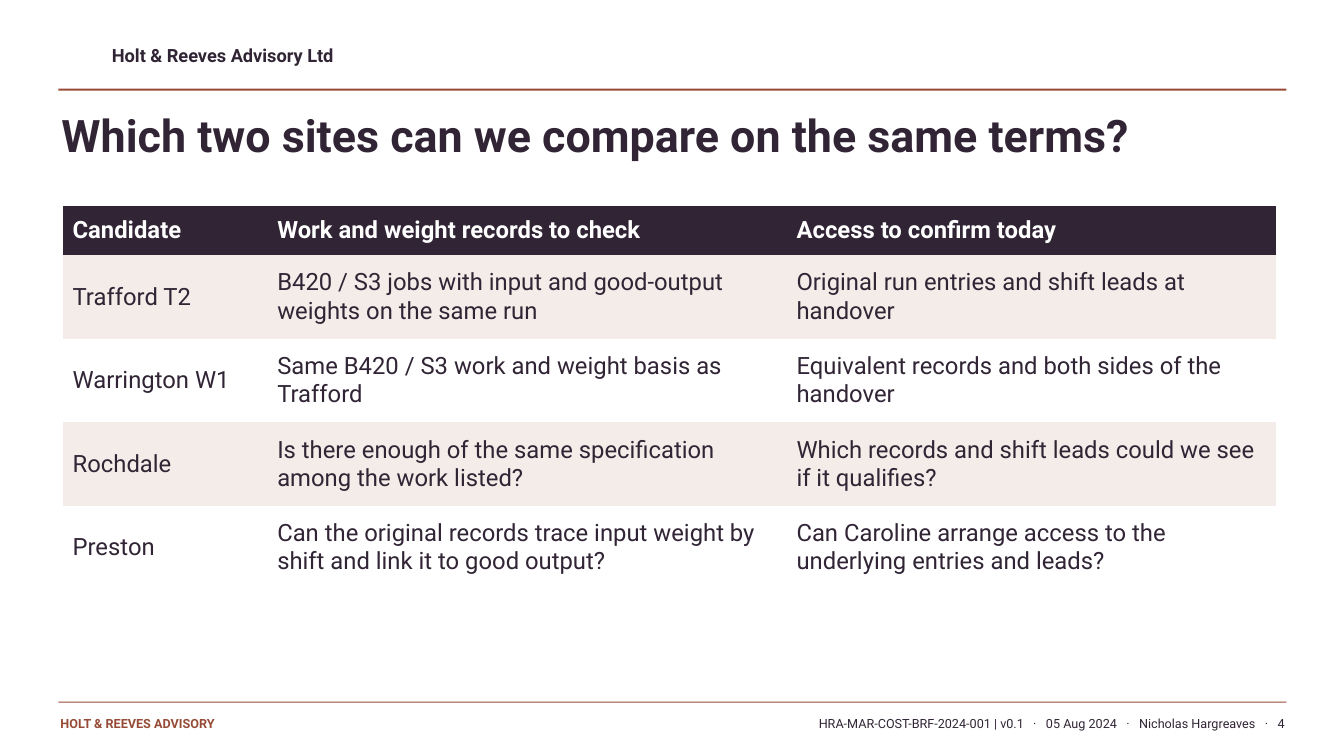
from dataclasses import dataclass

import pptx
import pptx.dml.color
import pptx.enum.shapes
import pptx.enum.text
import pptx.oxml.ns
import pptx.util

Inches = pptx.util.Inches
RGBColor = pptx.dml.color.RGBColor
Align = pptx.enum.text.PP_ALIGN

PLUM = RGBColor(0x30, 0x24, 0x35)
RUST = RGBColor(0x96, 0x4B, 0x37)
BLUSH = RGBColor(0xF4, 0xEC, 0xE8)
WHITE = RGBColor(0xFF, 0xFF, 0xFF)
FONT = "Roboto"
SEPARATOR = " · "
SEPARATOR_TRACKING = "450"
PLAIN_TABLE_STYLE = "{2D5ABB26-0587-4C30-8999-92F81FD0307C}"


@dataclass(frozen=True)
class Box:
    left: float
    top: float
    width: float
    height: float

    def inches(self) -> list[int]:
        return [Inches(v) for v in (self.left, self.top, self.width, self.height)]


@dataclass(frozen=True)
class Caption:
    text: str
    box: Box
    size: float
    color: RGBColor = PLUM
    bold: bool = True
    align: int = Align.LEFT


@dataclass(frozen=True)
class Site:
    candidate: str
    records: str
    access: str


RULES = [Box(0.58, 0.88, 12.18, 0.02), Box(0.58, 6.96, 12.18, 0.01)]

CAPTIONS = [
    Caption("Holt & Reeves Advisory Ltd", Box(1.11, 0.44, 6, 0.27), 13),
    Caption("HOLT & REEVES ADVISORY", Box(0.6, 7.1, 3.4, 0.25), 9, RUST),
    Caption("Which two sites can we compare on the same terms?",
            Box(0.61, 1.07, 12, 0.78), 32),
    Caption("HRA-MAR-COST-BRF-2024-001 | v0.1 · 05 Aug 2024 · Nicholas Hargreaves · 4",
            Box(4.12, 7.1, 8.62, 0.25), 9, bold=False, align=Align.RIGHT),
]

HEADINGS = Site("Candidate", "Work and weight records to check", "Access to confirm today")
SITES = [
    Site("Trafford T2",
         "B420 / S3 jobs with input and good-output weights on the same run",
         "Original run entries and shift leads at handover"),
    Site("Warrington W1",
         "Same B420 / S3 work and weight basis as Trafford",
         "Equivalent records and both sides of the handover"),
    Site("Rochdale",
         "Is there enough of the same specification among the work listed?",
         "Which records and shift leads could we see if it qualifies?"),
    Site("Preston",
         "Can the original records trace input weight by shift and link it to good output?",
         "Can Caroline arrange access to the underlying entries and leads?"),
]
COLUMN_WIDTHS = [2.03, 5.15, 4.86]
HEADING_HEIGHT = 0.49
SITE_HEIGHT = 0.83


def write_text(frame, text: str, *, size: float, color: RGBColor = PLUM,
               bold: bool = False, align: int = Align.LEFT) -> None:
    paragraph = frame.paragraphs[0]
    paragraph.alignment = align
    frame.word_wrap = True
    for index, part in enumerate(text.split(SEPARATOR)):
        pieces = [part] if index == 0 else [" ", "·", " ", part]
        for piece in pieces:
            run = paragraph.add_run()
            run.text = piece
            run.font.name = FONT
            run.font.size = pptx.util.Pt(size)
            run.font.bold = bold
            run.font.color.rgb = color
            if piece == " ":
                run._r.get_or_add_rPr().set("spc", SEPARATOR_TRACKING)


def draw_rule(slide, box: Box) -> None:
    rule = slide.shapes.add_shape(
        pptx.enum.shapes.MSO_SHAPE.RECTANGLE, *box.inches())
    rule.shadow.inherit = False
    rule.fill.solid()
    rule.fill.fore_color.rgb = RUST
    rule.line.fill.background()


def draw_caption(slide, caption: Caption) -> None:
    frame = slide.shapes.add_textbox(*caption.box.inches()).text_frame
    frame.margin_left = frame.margin_right = 0
    frame.margin_top = frame.margin_bottom = 0
    write_text(frame, caption.text, size=caption.size, color=caption.color,
               bold=caption.bold, align=caption.align)


def draw_sites(slide, headings: Site, sites: list[Site]) -> None:
    rows = [headings, *sites]
    heights = [HEADING_HEIGHT] + [SITE_HEIGHT] * len(sites)
    box = Box(0.62, 2.04, sum(COLUMN_WIDTHS), sum(heights))
    comparison = slide.shapes.add_table(
        len(rows), len(COLUMN_WIDTHS), *box.inches()).table
    style_tag = pptx.oxml.ns.qn("a:tableStyleId")
    comparison._tbl.tblPr.find(style_tag).text = PLAIN_TABLE_STYLE
    for column, width in zip(comparison.columns, COLUMN_WIDTHS):
        column.width = Inches(width)
    for index, (site, height) in enumerate(zip(rows, heights)):
        comparison.rows[index].height = Inches(height)
        heading = index == 0
        fill = PLUM if heading else BLUSH if index % 2 else WHITE
        texts = (site.candidate, site.records, site.access)
        for cell, text in zip(comparison.rows[index].cells, texts):
            cell.fill.solid()
            cell.fill.fore_color.rgb = fill
            cell.vertical_anchor = pptx.enum.text.MSO_ANCHOR.MIDDLE
            cell.margin_left = cell.margin_right = Inches(0.1)
            cell.margin_top = cell.margin_bottom = Inches(0.07)
            write_text(cell.text_frame, text, size=17, bold=heading,
                       color=WHITE if heading else PLUM)


def main() -> None:
    deck = pptx.Presentation()
    deck.slide_width = Inches(13.33)
    deck.slide_height = Inches(7.5)
    slide = deck.slides.add_slide(deck.slide_layouts[6])
    for box in RULES:
        draw_rule(slide, box)
    for caption in CAPTIONS:
        draw_caption(slide, caption)
    draw_sites(slide, HEADINGS, SITES)
    deck.save("out.pptx")


if __name__ == "__main__":
    main()
